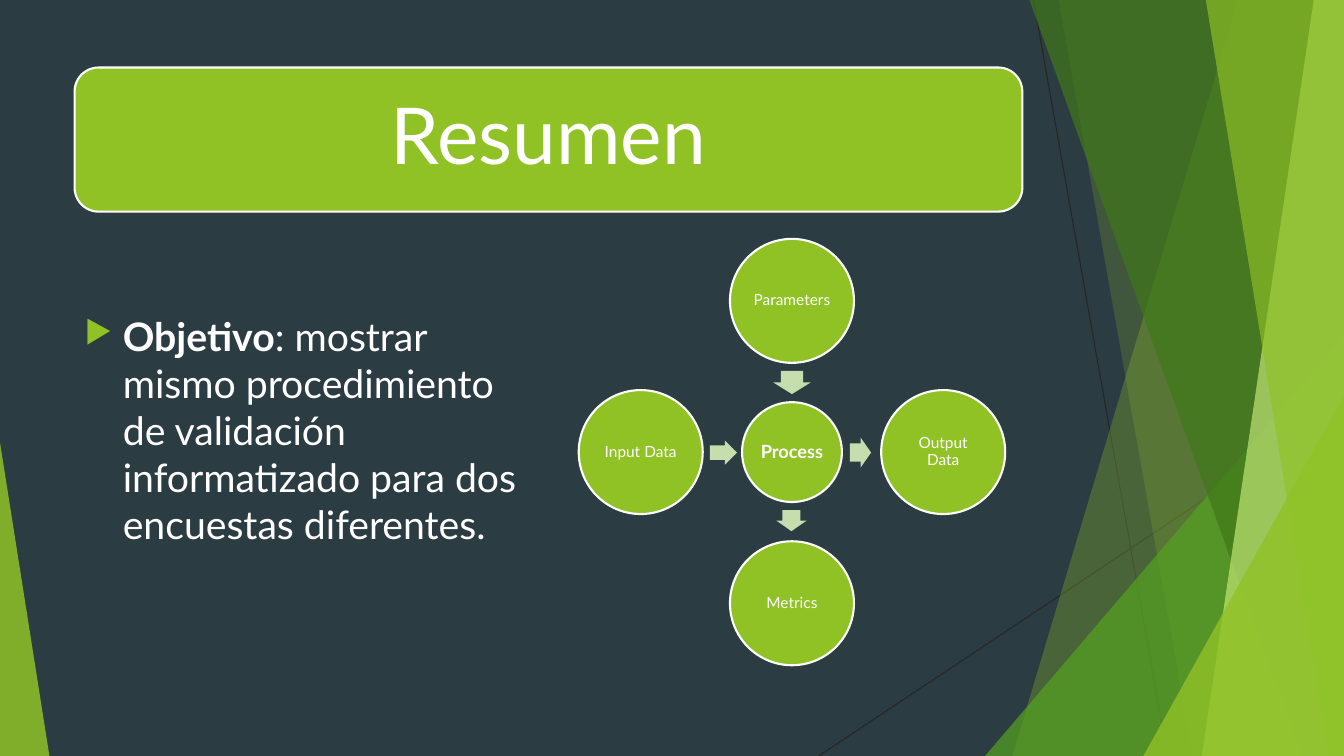
from dataclasses import dataclass

from lxml import etree
from pptx import Presentation
from pptx import util as u
from pptx.dml import color
from pptx.enum import shapes, text
from pptx.oxml import ns

PX = 9144
WIDE, HIGH = 1333, 750
LIME, LEAF, MOSS, PALE = "90C226", "54A021", "3F7819", "C0E474"
WHITE, DARK, SLATE, MINT = "FFFFFF", "262626", "2C3C43", "C6DDAD"
FONT = "Lato"
KIND = shapes.MSO_SHAPE


@dataclass(frozen=True)
class Sheet:
    top: int
    foot: int
    hue: str
    alpha: int


@dataclass(frozen=True)
class Wedge:
    left: int
    top: int
    width: int
    tip: int
    hue: str
    alpha: int


@dataclass(frozen=True)
class Node:
    label: str
    col: int
    row: int
    size: int = 123
    points: int = 11
    bold: bool = False


@dataclass(frozen=True)
class Arrow:
    kind: KIND
    left: int
    top: int
    width: int
    height: int


FACETS = (
    Sheet(1228, 1004, LIME, 30),
    Sheet(1050, 1183, LIME, 20),
    Wedge(977, 333, 356, 1, LEAF, 72),
    Sheet(1021, 1291, MOSS, 70),
    Sheet(1303, 1192, PALE, 70),
    Sheet(1196, 1318, LIME, 65),
    Wedge(1134, 393, 199, 1, LIME, 80),
    Wedge(0, 439, 49, 0, LIME, 85),
)
NODES = (
    Node("Process", 0, 0, 99, 13, True),
    Node("Parameters", 0, -1),
    Node("Output Data", 1, 0),
    Node("Metrics", 0, 1),
    Node("Input Data", -1, 0),
)
ARROWS = (
    Arrow(KIND.DOWN_ARROW, 767, 368, 37, 23),
    Arrow(KIND.RIGHT_ARROW, 843, 434, 21, 30),
    Arrow(KIND.DOWN_ARROW, 770, 506, 30, 21),
    Arrow(KIND.RIGHT_ARROW, 704, 437, 27, 24),
)
HUB_X, HUB_Y, STEP = 785, 448, 150


def px(*sizes: int) -> list[u.Emu]:
    return [u.Emu(size * PX) for size in sizes]


def rgb(hue: str) -> color.RGBColor:
    return color.RGBColor.from_string(hue)


def add(node, tag: str, **attrs):
    return etree.SubElement(node, ns.qn(tag), attrs)


def paint(shape, hue: str, alpha: int = 100, edge: str = "") -> None:
    shape.shadow.inherit = False
    shape.fill.solid()
    shape.fill.fore_color.rgb = rgb(hue)
    if alpha < 100:
        tint = shape._element.spPr.find(".//" + ns.qn("a:srgbClr"))
        add(tint, "a:alpha", val=str(alpha * 1000))
    if edge:
        shape.line.color.rgb = rgb(edge)
        shape.line.width = u.Pt(1.5)
    else:
        shape.line.fill.background()


def write(para, words: str, *, size: int, bold: bool = False) -> None:
    run = para.add_run()
    run.text = words
    run.font.name = FONT
    run.font.size = u.Pt(size)
    run.font.bold = bold
    run.font.color.rgb = rgb(WHITE)


def label(shape, words: str, *, size: int, inset: int, bold: bool = False) -> None:
    frame = shape.text_frame
    frame.word_wrap = True
    frame.vertical_anchor = text.MSO_ANCHOR.MIDDLE
    frame.margin_left, frame.margin_right = px(inset, inset)
    frame.margin_top, frame.margin_bottom = px(inset, inset)
    para = frame.paragraphs[0]
    para.alignment = text.PP_ALIGN.CENTER
    para.line_spacing = 0.9
    write(para, words, size=size, bold=bold)


def draw_line(slide, x1: int, y1: int, x2: int, y2: int) -> None:
    line = slide.shapes.add_connector(
        shapes.MSO_CONNECTOR.STRAIGHT, *px(x1, y1, x2, y2))
    line.line.color.rgb = rgb(DARK)
    line.line.width = u.Pt(0.75)
    add(line._element.spPr, "a:effectLst")


def draw_facet(slide, facet: Sheet | Wedge) -> None:
    if isinstance(facet, Sheet):
        path = slide.shapes.build_freeform(facet.top, 0, scale=PX)
        path.add_line_segments([(WIDE, 0), (WIDE, HIGH), (facet.foot, HIGH)])
        shape = path.convert_to_shape()
    else:
        box = px(facet.left, facet.top, facet.width, HIGH - facet.top)
        shape = slide.shapes.add_shape(KIND.ISOSCELES_TRIANGLE, *box)
        shape.adjustments[0] = facet.tip
    paint(shape, facet.hue, facet.alpha)


def draw_node(slide, node: Node) -> None:
    left = HUB_X + node.col * STEP - node.size // 2
    top = HUB_Y + node.row * STEP - node.size // 2
    disc = slide.shapes.add_shape(KIND.OVAL, *px(left, top, node.size, node.size))
    paint(disc, LIME, edge=WHITE)
    label(disc, node.label, size=node.points, inset=2, bold=node.bold)


def draw_arrow(slide, arrow: Arrow) -> None:
    box = px(arrow.left, arrow.top, arrow.width, arrow.height)
    shape = slide.shapes.add_shape(arrow.kind, *box)
    shape.adjustments[0] = 0.6
    shape.adjustments[1] = 0.5
    paint(shape, MINT)


def draw_title(slide) -> None:
    title = slide.shapes.add_shape(KIND.ROUNDED_RECTANGLE, *px(74, 67, 940, 143))
    paint(title, LIME, edge=WHITE)
    label(title, "Resumen", size=56, inset=23)


def draw_goal(slide) -> None:
    frame = slide.shapes.add_textbox(*px(74, 305, 458, 306)).text_frame
    frame.word_wrap = True
    para = frame.paragraphs[0]
    para.space_before = u.Pt(10)
    props = para._p.get_or_add_pPr()
    props.set("marL", str(38 * PX))
    props.set("indent", str(-38 * PX))
    add(add(props, "a:buClr"), "a:srgbClr", val=LIME)
    add(props, "a:buSzPct", val="80000")
    add(props, "a:buChar", char="▶")
    write(para, "Objetivo", size=28, bold=True)
    write(para, ": mostrar mismo procedimiento de validación "
          "informatizado para dos encuestas diferentes.", size=28)


def main() -> None:
    deck = Presentation()
    deck.slide_width, deck.slide_height = px(WIDE, HIGH)
    slide = deck.slides.add_slide(deck.slide_layouts[6])
    slide.background.fill.solid()
    slide.background.fill.fore_color.rgb = rgb(SLATE)
    draw_line(slide, 1025, 0, 1158, HIGH)
    draw_line(slide, WIDE, 403, 812, HIGH)
    for facet in FACETS:
        draw_facet(slide, facet)
    draw_title(slide)
    draw_goal(slide)
    for node in NODES:
        draw_node(slide, node)
    for arrow in ARROWS:
        draw_arrow(slide, arrow)
    deck.save("out.pptx")


if __name__ == "__main__":
    main()
